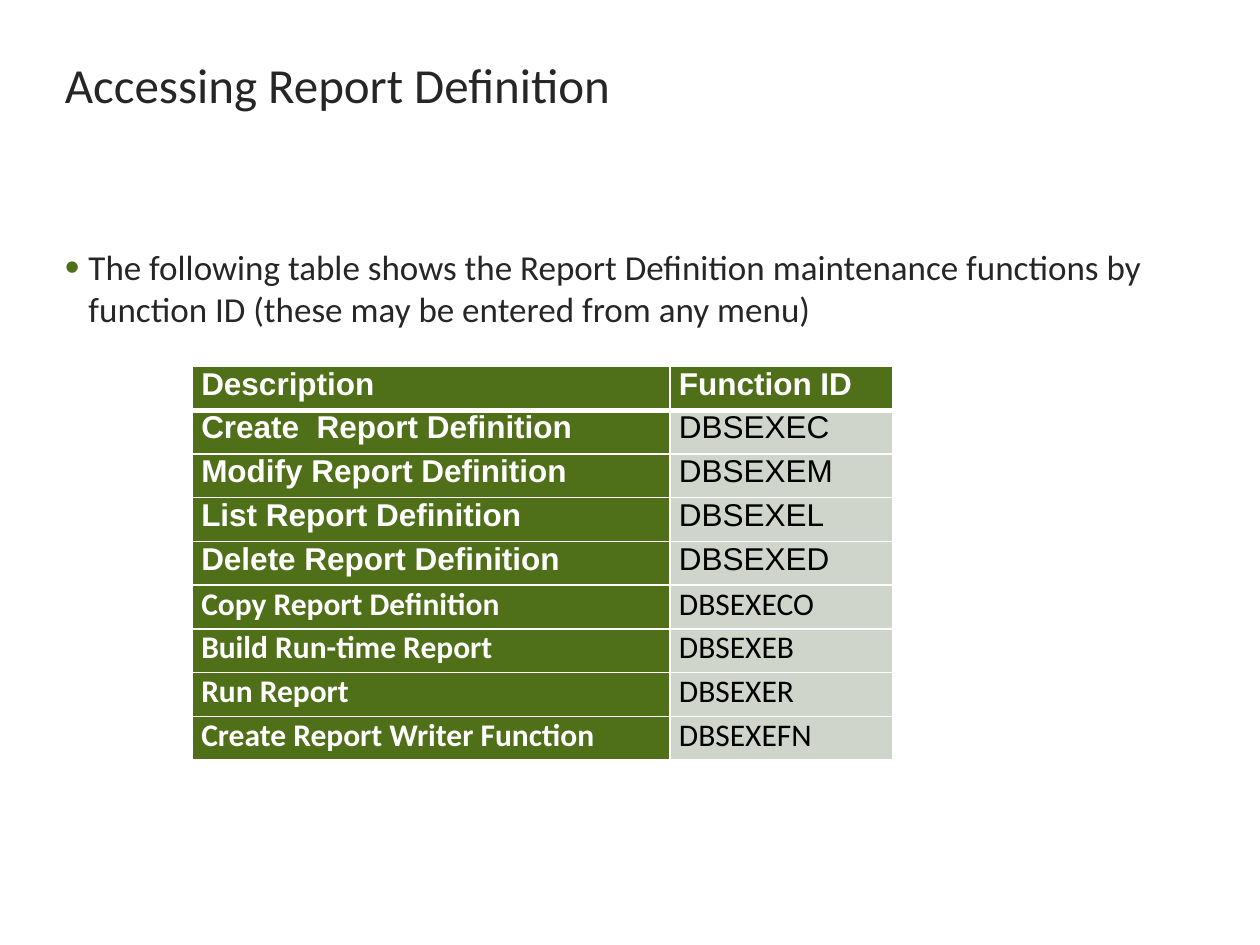
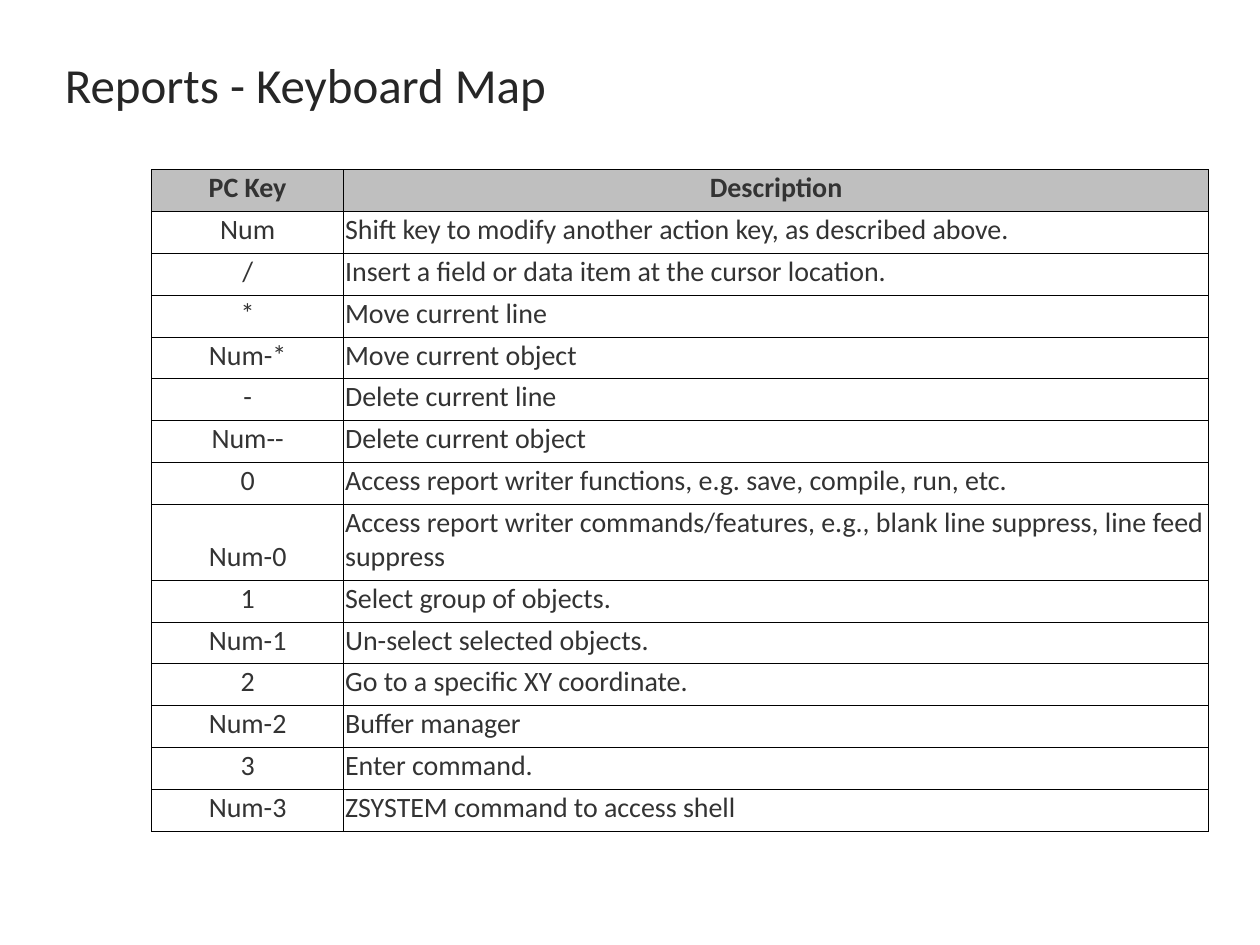
from lxml.etree import SubElement
from pptx import Presentation
from pptx.dml.color import RGBColor
from pptx.enum.text import MSO_ANCHOR, PP_ALIGN
from pptx.oxml.ns import qn
from pptx.util import Pt

GREEN = RGBColor(0x4F, 0x6F, 0x19)
PALE_GREEN = RGBColor(0xD0, 0xD5, 0xCC)
GREY = RGBColor(0xBF, 0xBF, 0xBF)
WHITE = RGBColor(0xFF, 0xFF, 0xFF)
BLACK = RGBColor(0x00, 0x00, 0x00)
TEXT = RGBColor(0x26, 0x26, 0x26)
KEY_TEXT = RGBColor(0x33, 0x33, 0x33)

TITLE_FORMAT = {"name": "Calibri", "size": Pt(28), "bold": False}
INTRO_FORMAT = {"name": "Calibri", "size": Pt(20), "bold": False}
TITLES = ["Accessing Report Definition", "Reports - Keyboard Map"]
INTRO = ("The following table shows the Report Definition maintenance functions "
         "by function ID (these may be entered from any menu)")

FUNCTIONS = [
    ("Description", "Function ID"),
    ("Create  Report Definition", "DBSEXEC"),
    ("Modify Report Definition", "DBSEXEM"),
    ("List Report Definition", "DBSEXEL"),
    ("Delete Report Definition", "DBSEXED"),
    ("Copy Report Definition", "DBSEXECO"),
    ("Build Run-time Report", "DBSEXEB"),
    ("Run Report", "DBSEXER"),
    ("Create Report Writer Function", "DBSEXEFN"),
]
ARIAL_ROWS = 5

KEYS = [
    ("PC Key", "Description"),
    ("Num", "Shift key to modify another action key, as described above."),
    ("/", "Insert a field or data item at the cursor location."),
    ("*", "Move current line"),
    ("Num-*", "Move current object"),
    ("-", "Delete current line"),
    ("Num--", "Delete current object"),
    ("0", "Access report writer functions, e.g. save, compile, run, etc."),
    ("Num-0", "Access report writer commands/features, e.g., blank line suppress, "
              "line feed suppress"),
    ("1", "Select group of objects."),
    ("Num-1", "Un-select selected objects."),
    ("2", "Go to a specific XY coordinate."),
    ("Num-2", "Buffer manager"),
    ("3", "Enter command."),
    ("Num-3", "ZSYSTEM command to access shell"),
]
TWO_LINE_KEY = "Num-0"


def write(frame, text, font_format, color):
    """Put one formatted run in the frame and return its paragraph."""
    frame.word_wrap = True
    paragraph = frame.paragraphs[0]
    run = paragraph.add_run()
    run.text = text
    for attribute, value in font_format.items():
        setattr(run.font, attribute, value)
    run.font.color.rgb = color
    return paragraph


def format_cell(cell, fill, border, widths, cell_format):
    """Set borders (widths in points by side), fill, margins and anchor."""
    properties = cell._tc.get_or_add_tcPr()
    for side in "LRTB":
        line = SubElement(properties, qn(f"a:ln{side}"), w=str(Pt(widths[side])))
        solid = SubElement(line, qn("a:solidFill"))
        SubElement(solid, qn("a:srgbClr"), val=str(border))
    cell.fill.solid()
    cell.fill.fore_color.rgb = fill
    for attribute, value in cell_format.items():
        setattr(cell, attribute, value)


prs = Presentation()
prs.slide_width, prs.slide_height = Pt(720), Pt(540)

# Titles
for title in TITLES:
    slide = prs.slides.add_slide(prs.slide_layouts[6])
    heading = slide.shapes.add_textbox(Pt(30), Pt(15), Pt(480), Pt(66))
    heading.text_frame.vertical_anchor = MSO_ANCHOR.MIDDLE
    write(heading.text_frame, title, TITLE_FORMAT, TEXT)
access_slide, keyboard_slide = prs.slides

# Accessing Report Definition: introduction
intro = access_slide.shapes.add_textbox(Pt(30), Pt(137), Pt(654), Pt(349))
paragraph = write(intro.text_frame, INTRO, INTRO_FORMAT, TEXT)
indent = paragraph._p.get_or_add_pPr()
indent.set("marL", str(Pt(13.5)))
indent.set("indent", str(-Pt(13.5)))
bullet_color = SubElement(indent, qn("a:buClr"))
SubElement(bullet_color, qn("a:srgbClr"), val=str(GREEN))
SubElement(indent, qn("a:buSzPct"), val="120000")
SubElement(indent, qn("a:buFont"), typeface="Arial")
SubElement(indent, qn("a:buChar"), char="•")

# Accessing Report Definition: function table
functions = access_slide.shapes.add_table(
    len(FUNCTIONS), 2, Pt(110), Pt(209.5), Pt(400), Pt(25 * len(FUNCTIONS))).table
functions.horz_banding = False
functions.columns[0].width, functions.columns[1].width = Pt(273), Pt(127)
function_cell = {"margin_left": Pt(5), "margin_right": Pt(5), "margin_top": 0,
                 "margin_bottom": 0, "vertical_anchor": MSO_ANCHOR.TOP}
for row, entry in enumerate(FUNCTIONS):
    functions.rows[row].height = Pt(25)
    widths = {"L": 1, "R": 1, "T": 3 if row == 1 else 1, "B": 3 if row == 0 else 1}
    for column, text in enumerate(entry):
        strong = row == 0 or column == 0
        cell = functions.cell(row, column)
        format_cell(cell, GREEN if strong else PALE_GREEN, WHITE, widths, function_cell)
        font_format = {"name": "Arial" if row < ARIAL_ROWS else "Calibri",
                       "size": Pt(18), "bold": strong}
        write(cell.text_frame, text, font_format, WHITE if strong else BLACK)

# Keyboard map table
keys = keyboard_slide.shapes.add_table(
    len(KEYS), 2, Pt(86.5), Pt(97), Pt(604), Pt(378)).table
keys.horz_banding = False
keys.columns[0].width, keys.columns[1].width = Pt(110), Pt(494)
thin = dict.fromkeys("LRTB", 0.5)
for row, entry in enumerate(KEYS):
    header = row == 0
    keys.rows[row].height = Pt(43.4 if entry[0] == TWO_LINE_KEY else 23.9)
    key_cell = {"margin_left": Pt(0.75), "margin_right": Pt(0.75),
                "margin_top": Pt(0.75), "margin_bottom": Pt(3.6),
                "vertical_anchor": MSO_ANCHOR.MIDDLE if header else MSO_ANCHOR.BOTTOM}
    font_format = {"name": "Calibri", "size": Pt(16), "bold": header}
    for column, text in enumerate(entry):
        cell = keys.cell(row, column)
        format_cell(cell, GREY if header else WHITE, BLACK, thin, key_cell)
        paragraph = write(cell.text_frame, text, font_format, KEY_TEXT)
        centred = header or column == 0
        paragraph.alignment = PP_ALIGN.CENTER if centred else PP_ALIGN.LEFT

prs.save("out.pptx")
